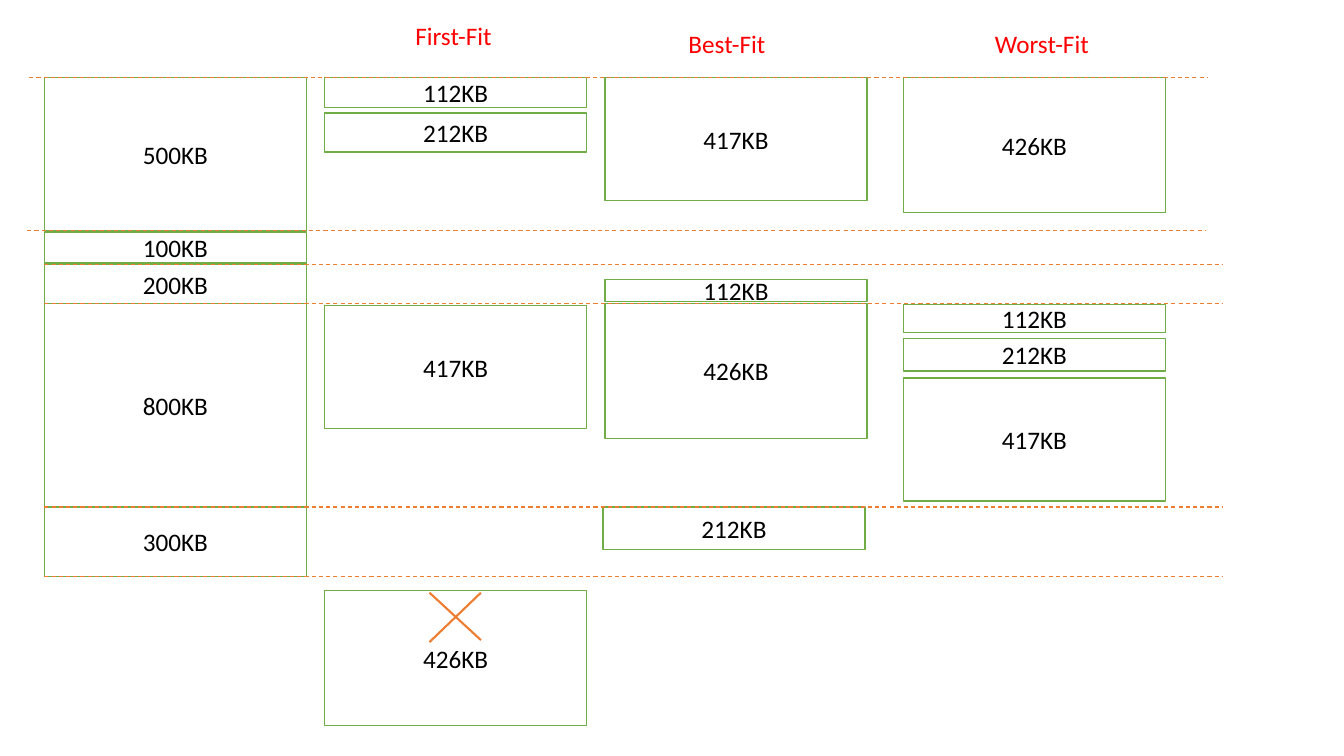
"""Build a slide comparing first-fit, best-fit and worst-fit memory allocation."""
from pptx import Presentation
from pptx.dml.color import RGBColor
from pptx.enum.dml import MSO_LINE
from pptx.enum.shapes import MSO_CONNECTOR, MSO_SHAPE
from pptx.enum.text import MSO_ANCHOR, MSO_AUTO_SIZE, PP_ALIGN
from pptx.oxml.ns import qn
from pptx.util import Emu, Pt
from lxml.etree import SubElement

PX = 9144
BLOCK_WIDTH = 260
GREEN = RGBColor(0x70, 0xAD, 0x47)
ORANGE = RGBColor(0xED, 0x7D, 0x31)
RED = RGBColor(0xFF, 0x00, 0x00)
BLACK = RGBColor(0x00, 0x00, 0x00)
WHITE = RGBColor(0xFF, 0xFF, 0xFF)

MEMORY_LEFT, FIRST_LEFT, BEST_LEFT, WORST_LEFT = 44, 322, 600, 896
BLOCKS = [
    (MEMORY_LEFT, [("500KB", 77, 152), ("100KB", 231, 30), ("200KB", 262, 40),
                   ("800KB", 301, 202), ("300KB", 503, 69)]),
    (WORST_LEFT, [("112KB", 302, 28), ("426KB", 77, 134), ("212KB", 336, 32),
                  ("417KB", 375, 122)]),
    (FIRST_LEFT, [("112KB", 77, 30), ("212KB", 112, 39), ("417KB", 303, 122),
                  ("426KB", 586, 134)]),
    (BEST_LEFT, [("112KB", 277, 22), ("417KB", 77, 122), ("426KB", 301, 134)]),
    (BEST_LEFT - 2, [("212KB", 503, 42)]),
]
HEADINGS = [("First-Fit", 402, 15, 98), ("Best-Fit", 673, 23, 98),
            ("Worst-Fit", 977, 23, 115)]
GUIDE_LENGTH = 1168
GUIDES = [(29, 77), (27, 229), (44, 301), (44, 262), (44, 503), (44, 572)]
CROSS = [(426, 588, 477, 635), (477, 588, 426, 637)]


def scaled(*lengths):
    return [Emu(length * PX) for length in lengths]


def write(frame, text, color=BLACK, align=PP_ALIGN.CENTER, size=18):
    para = frame.paragraphs[0]
    para.alignment = align
    span = para.add_run()
    span.text = text
    span.font.name = "Calibri"
    span.font.size = Pt(size)
    span.font.color.rgb = color


def add_block(page, text, left, top, height):
    box = page.shapes.add_shape(
        MSO_SHAPE.RECTANGLE, *scaled(left, top, BLOCK_WIDTH, height))
    box.shadow.inherit = False
    box.fill.solid()
    box.fill.fore_color.rgb = WHITE
    box.line.color.rgb = GREEN
    box.line.width = Pt(1)
    box.text_frame.vertical_anchor = MSO_ANCHOR.MIDDLE
    write(box.text_frame, text)


def add_heading(page, text, left, top, width):
    frame = page.shapes.add_textbox(*scaled(left, top, width, 40)).text_frame
    frame.word_wrap = False
    frame.auto_size = MSO_AUTO_SIZE.SHAPE_TO_FIT_TEXT
    write(frame, text, color=RED, align=PP_ALIGN.LEFT)


def add_line(page, ends, width, dash=None):
    line = page.shapes.add_connector(MSO_CONNECTOR.STRAIGHT, *scaled(*ends))
    line.line.color.rgb = ORANGE
    line.line.width = Pt(width)
    if dash:
        line.line.dash_style = dash
    SubElement(line._element.spPr, qn("a:effectLst"))


def main():
    deck = Presentation()
    deck.slide_width, deck.slide_height = scaled(1333, 750)
    page = deck.slides.add_slide(deck.slide_layouts[6])
    for left, column in BLOCKS:
        for text, top, height in column:
            add_block(page, text, left, top, height)
    for ends in CROSS:
        add_line(page, ends, 1.5)
    for left, top in GUIDES:
        add_line(page, (left, top, left + GUIDE_LENGTH, top), 0.75, MSO_LINE.DASH)
    for heading in HEADINGS:
        add_heading(page, *heading)
    deck.save("out.pptx")


if __name__ == "__main__":
    main()
